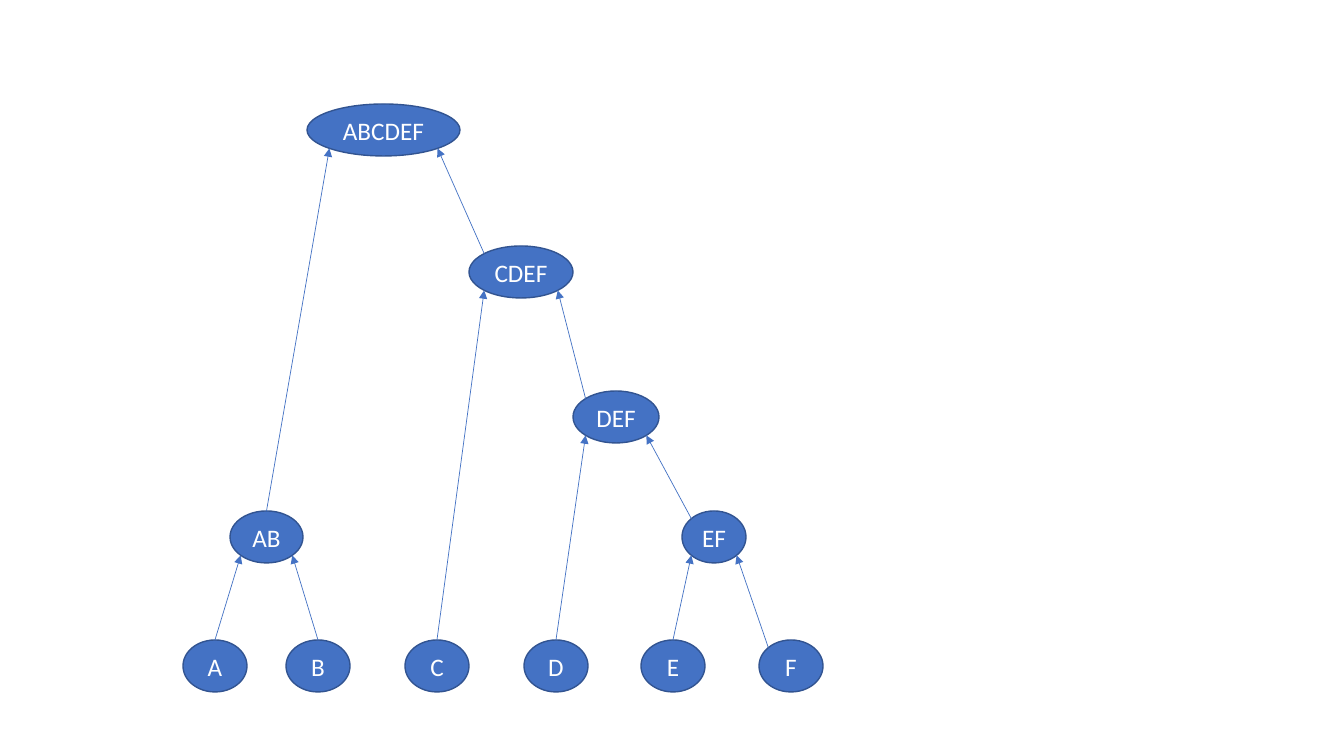
from math import sqrt

from lxml import etree
from pptx import Presentation
from pptx.dml.color import RGBColor
from pptx.enum.shapes import MSO_CONNECTOR, MSO_SHAPE
from pptx.enum.text import MSO_ANCHOR, PP_ALIGN
from pptx.oxml.ns import qn
from pptx.util import Pt

SCALE = 914400 / 100.8
BLUE = RGBColor(0x44, 0x72, 0xC4)
DARK_BLUE = RGBColor(0x32, 0x54, 0x91)
WHITE = RGBColor(0xFF, 0xFF, 0xFF)
OVAL = MSO_SHAPE.OVAL
STRAIGHT = MSO_CONNECTOR.STRAIGHT
MIDDLE = MSO_ANCHOR.MIDDLE
CENTER = PP_ALIGN.CENTER

NODE_HEIGHT = 52
LEAF_WIDTH = 64
LEAF_TOP = 640
LEAF_LEFTS = {"A": 183, "B": 286, "C": 405, "D": 524, "E": 641, "F": 759}
MERGED = {
    "AB": (230, 511, 73),
    "EF": (682, 511, 64),
    "DEF": (573, 391, 86),
    "CDEF": (469, 246, 104),
    "ABCDEF": (307, 104, 153),
}
SITES = {
    "top": (0, -1),
    "top left": (-sqrt(0.5), -sqrt(0.5)),
    "bottom left": (-sqrt(0.5), sqrt(0.5)),
    "bottom right": (sqrt(0.5), sqrt(0.5)),
}
EDGES = [
    ("A", "top", "AB", "bottom left"),
    ("B", "top", "AB", "bottom right"),
    ("E", "top", "EF", "bottom left"),
    ("F", "top left", "EF", "bottom right"),
    ("D", "top", "DEF", "bottom left"),
    ("EF", "top left", "DEF", "bottom right"),
    ("C", "top", "CDEF", "bottom left"),
    ("DEF", "top left", "CDEF", "bottom right"),
    ("AB", "top", "ABCDEF", "bottom left"),
    ("CDEF", "top left", "ABCDEF", "bottom right"),
]
FONT = {"name": "Calibri", "size": Pt(18)}
FRAME = {"vertical_anchor": MIDDLE, "word_wrap": False}


def px(value):
    """Turn pixels into EMU."""
    return round(value * SCALE)


def set_attrs(target, values):
    """Set each attribute of target from a dict."""
    for name, value in values.items():
        setattr(target, name, value)


def add_node(s, label, left, top, width):
    """Add a labelled tree node."""
    sp = s.shapes.add_shape(OVAL, px(left), px(top), px(width), px(NODE_HEIGHT))
    sp.shadow.inherit = False
    sp.fill.solid()
    sp.fill.fore_color.rgb = BLUE
    sp.line.color.rgb = DARK_BLUE
    sp.line.width = Pt(1)
    tf = sp.text_frame
    set_attrs(tf, FRAME)
    p = tf.paragraphs[0]
    p.alignment = CENTER
    r = p.add_run()
    r.text = label
    set_attrs(r.font, FONT)
    r.font.color.rgb = WHITE
    return sp


def site_point(sp, site):
    """Return the point of a named site on a node's edge."""
    dx, dy = SITES[site]
    return (
        round(sp.left + sp.width * (1 + dx) / 2),
        round(sp.top + sp.height * (1 + dy) / 2),
    )


def add_arrow(s, start, end):
    """Add a thin arrow between two points."""
    cxn = s.shapes.add_connector(STRAIGHT, *start, *end)
    cxn.line.color.rgb = BLUE
    cxn.line.width = Pt(0.5)
    ln = cxn.line._get_or_add_ln()
    etree.SubElement(ln, qn("a:tailEnd"), type="triangle")
    etree.SubElement(cxn._element.spPr, qn("a:effectLst"))


def main():
    """Build the merge tree slide."""
    prs = Presentation()
    prs.slide_width, prs.slide_height = px(1344), px(756)
    s = prs.slides.add_slide(prs.slide_layouts[6])
    boxes = {name: (left, LEAF_TOP, LEAF_WIDTH) for name, left in LEAF_LEFTS.items()}
    boxes.update(MERGED)
    nodes = {name: add_node(s, name, *box) for name, box in boxes.items()}
    for child, child_site, parent, parent_site in EDGES:
        start = site_point(nodes[child], child_site)
        add_arrow(s, start, site_point(nodes[parent], parent_site))
    prs.save("out.pptx")


main()
